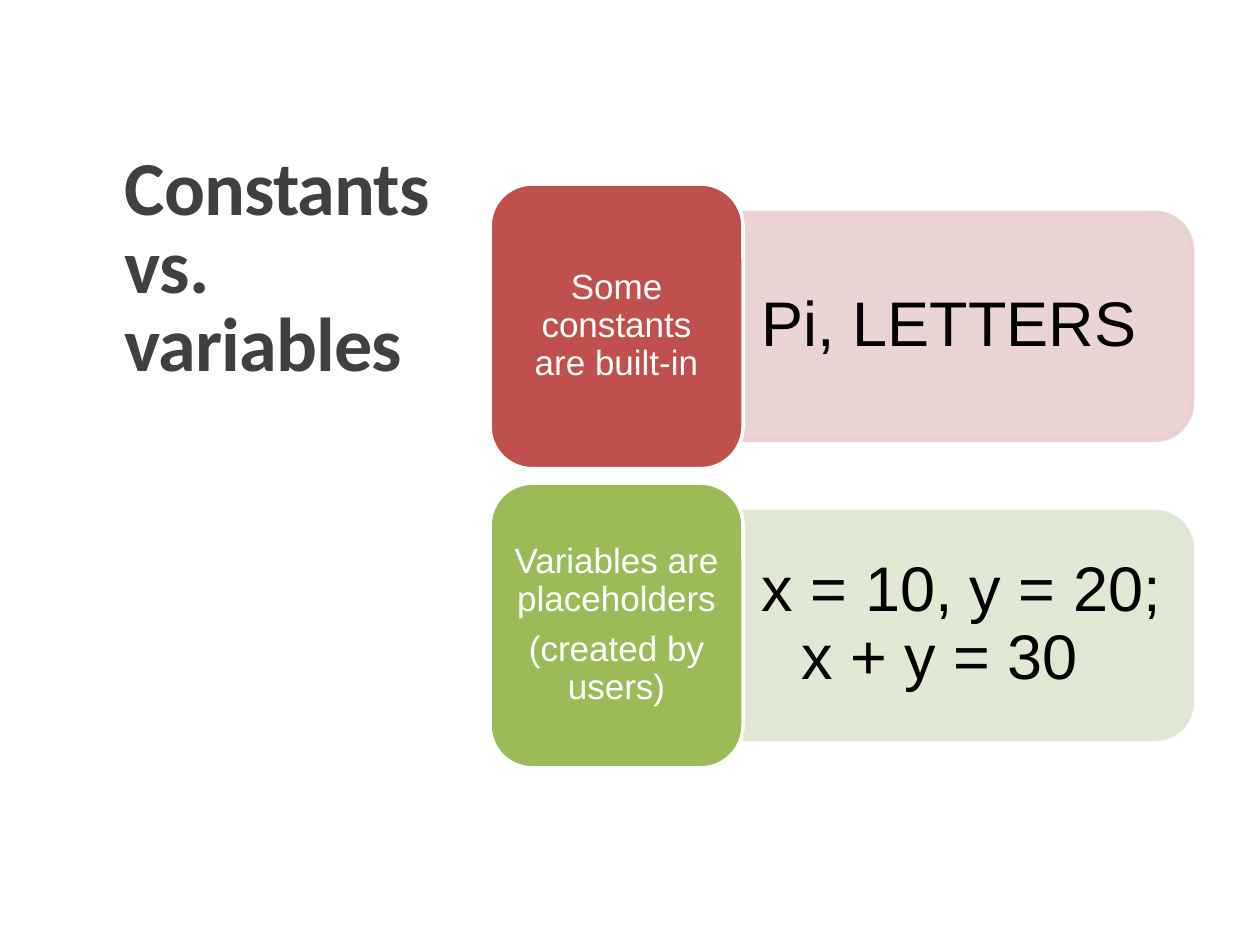
from dataclasses import dataclass

from lxml.etree import SubElement
from pptx import Presentation
from pptx.dml.color import RGBColor
from pptx.enum.shapes import MSO_SHAPE as Preset
from pptx.enum.text import MSO_ANCHOR as Anchor, PP_ALIGN as Align
from pptx.oxml.ns import qn
from pptx.shapes.autoshape import Shape
from pptx.slide import Slide
from pptx.util import Cm, Pt


@dataclass(frozen=True)
class Theme:
    """Colours, fonts and type sizes of the slide."""
    title: str = "404040"
    white: str = "FFFFFF"
    black: str = "000000"
    red: str = "C0504D"
    pale_red: str = "E8D0D0"
    green: str = "9BBB59"
    pale_green: str = "DEE7D1"
    heading_font: str = "Calibri"
    body_font: str = "Arial"
    title_size: float = 43.6
    example_size: float = 36
    badge_size: float = 20
    outline: float = 2


@dataclass(frozen=True)
class Concept:
    """One row: a coloured badge and its example panel."""
    statements: tuple[str, ...]
    example: str
    badge_colour: str
    panel_colour: str


THEME = Theme()
CONCEPTS = (
    Concept(("Some constants are built-in",), "Pi, LETTERS", THEME.red, THEME.pale_red),
    Concept(("Variables are placeholders", "(created by users)"),
            "x = 10, y = 20; x + y = 30", THEME.green, THEME.pale_green),
)
BADGE_LEFT, BADGE_WIDTH, BADGE_HEIGHT = 9.88, 5.1, 5.74
PANEL_LEFT, PANEL_WIDTH, PANEL_HEIGHT = BADGE_LEFT + BADGE_WIDTH, 9.06, 4.6
EXAMPLE_WIDTH, EXAMPLE_HEIGHT = 8.84, 4.14
FIRST_CENTRE, ROW_PITCH = 6.58, 6.03


def write(shape: Shape, *paragraphs: str, size: float, colour: str,
          font: str = THEME.body_font, bold: bool = False, align: Align = Align.LEFT,
          anchor: Anchor = Anchor.MIDDLE, insets: tuple[float, float] = (0.38, 0.18),
          line_spacing: float = 0.9, gap: float = 0, hanging: float = 0,
          tracking: float = 0) -> None:
    """Fill a shape with formatted paragraphs."""
    frame = shape.text_frame
    frame.word_wrap = True
    frame.vertical_anchor = anchor
    frame.margin_left = frame.margin_right = Cm(insets[0])
    frame.margin_top = frame.margin_bottom = Cm(insets[1])
    for index, text in enumerate(paragraphs):
        paragraph = frame.add_paragraph() if index else frame.paragraphs[0]
        paragraph.alignment = align
        paragraph.line_spacing = line_spacing
        if index:
            paragraph.space_before = Pt(gap)
        if hanging:
            properties = paragraph._p.get_or_add_pPr()
            properties.set("marL", str(Cm(hanging)))
            properties.set("indent", str(-Cm(hanging)))
        run = paragraph.add_run()
        run.text = text
        run.font.name, run.font.size, run.font.bold = font, Pt(size), bold
        run.font.color.rgb = RGBColor.from_string(colour)
        if tracking:
            run._r.get_or_add_rPr().set("spc", str(round(tracking * 100)))


def add_block(slide: Slide, preset: Preset, centre: tuple[float, float],
              size: tuple[float, float], fill: str, line: str,
              rotation: float = 0, opacity: int = 100) -> Shape:
    """Draw a filled, outlined shape around its centre."""
    (x, y), (width, height) = centre, size
    block = slide.shapes.add_shape(preset, Cm(x - width / 2), Cm(y - height / 2),
                                   Cm(width), Cm(height))
    block.rotation = rotation
    block.shadow.inherit = False
    block.fill.solid()
    block.fill.fore_color.rgb = RGBColor.from_string(fill)
    block.line.color.rgb = RGBColor.from_string(line)
    block.line.width = Pt(THEME.outline)
    if opacity < 100:
        for colour in block._element.spPr.iter(qn("a:srgbClr")):
            SubElement(colour, qn("a:alpha"), val=str(opacity * 1000))
    return block


def add_concept(slide: Slide, concept: Concept, centre_y: float) -> None:
    """Draw the panel, its example and the badge of one concept."""
    add_block(slide, Preset.ROUND_2_SAME_RECTANGLE,
              (PANEL_LEFT + PANEL_WIDTH / 2, centre_y), (PANEL_HEIGHT, PANEL_WIDTH),
              concept.panel_colour, concept.panel_colour, rotation=90, opacity=90)
    example = slide.shapes.add_textbox(Cm(PANEL_LEFT), Cm(centre_y - EXAMPLE_HEIGHT / 2),
                                       Cm(EXAMPLE_WIDTH), Cm(EXAMPLE_HEIGHT))
    write(example, concept.example, size=THEME.example_size, colour=THEME.black,
          hanging=0.79)
    badge = add_block(slide, Preset.ROUNDED_RECTANGLE,
                      (BADGE_LEFT + BADGE_WIDTH / 2, centre_y), (BADGE_WIDTH, BADGE_HEIGHT),
                      concept.badge_colour, THEME.white)
    write(badge, *concept.statements, size=THEME.badge_size, colour=THEME.white,
          align=Align.CENTER, insets=(0.2, 0.1), gap=7)


def main() -> None:
    """Build and save the slide."""
    deck = Presentation()
    deck.slide_width, deck.slide_height = Cm(25.4), Cm(19.05)
    slide = deck.slides.add_slide(deck.slide_layouts[6])
    for row, concept in enumerate(CONCEPTS):
        add_concept(slide, concept, FIRST_CENTRE + row * ROW_PITCH)
    title = slide.shapes.add_textbox(Cm(2.29), Cm(2.97), Cm(7.19), Cm(12.6))
    write(title, "Constants vs. variables", size=THEME.title_size, colour=THEME.title,
          font=THEME.heading_font, bold=True, anchor=Anchor.TOP, insets=(0.23, 0.13),
          line_spacing=0.85, tracking=-0.5)
    deck.save("out.pptx")


if __name__ == "__main__":
    main()
